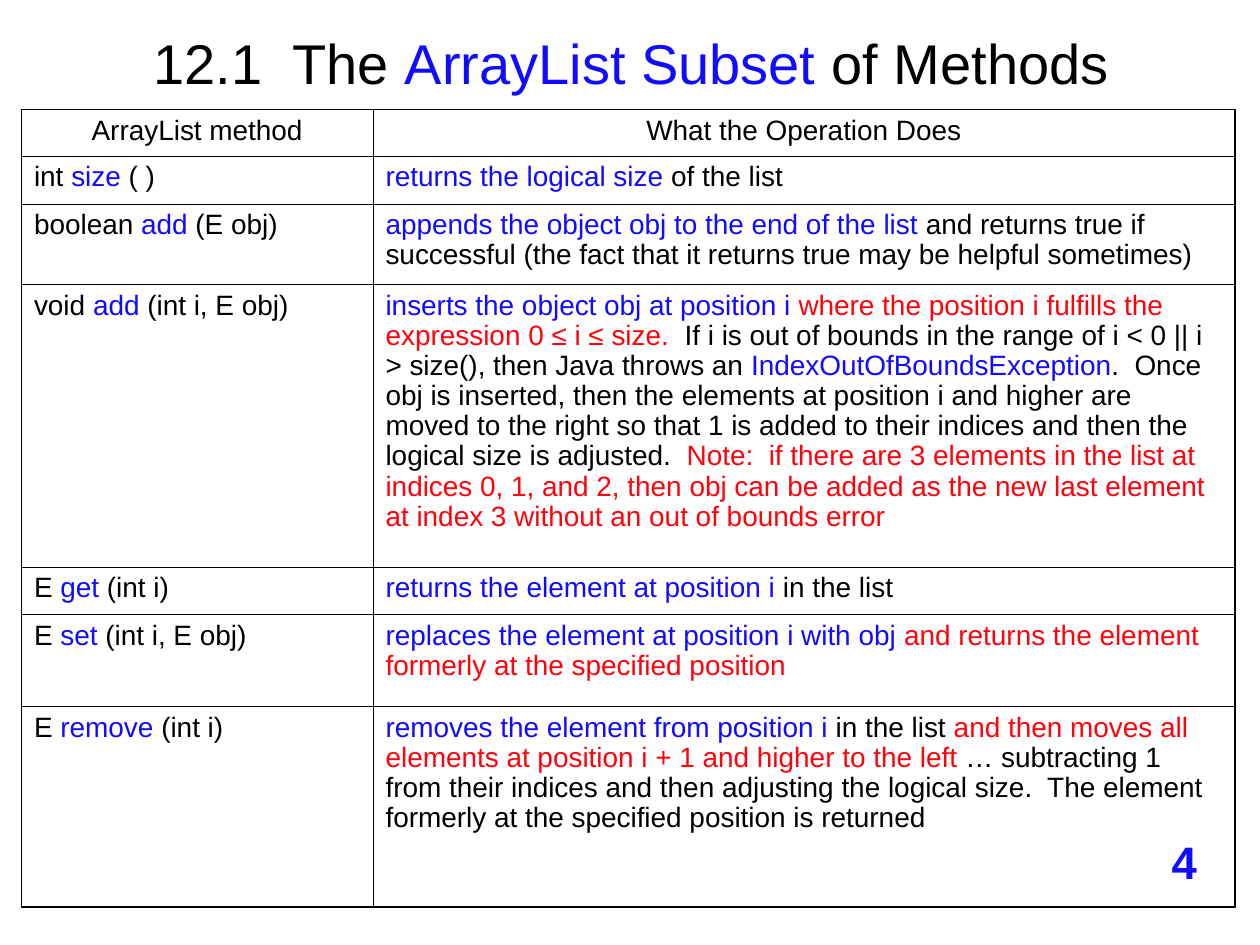
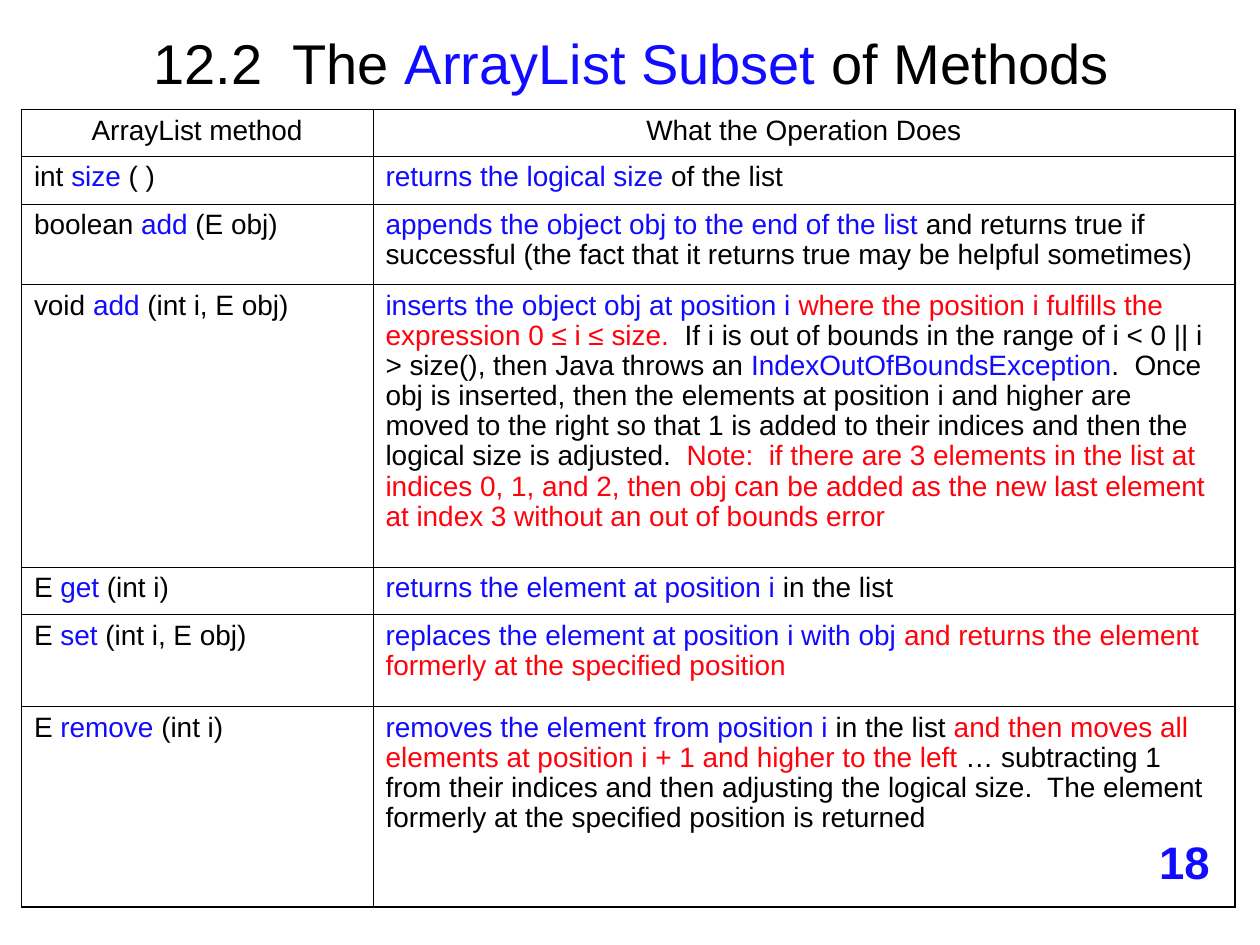
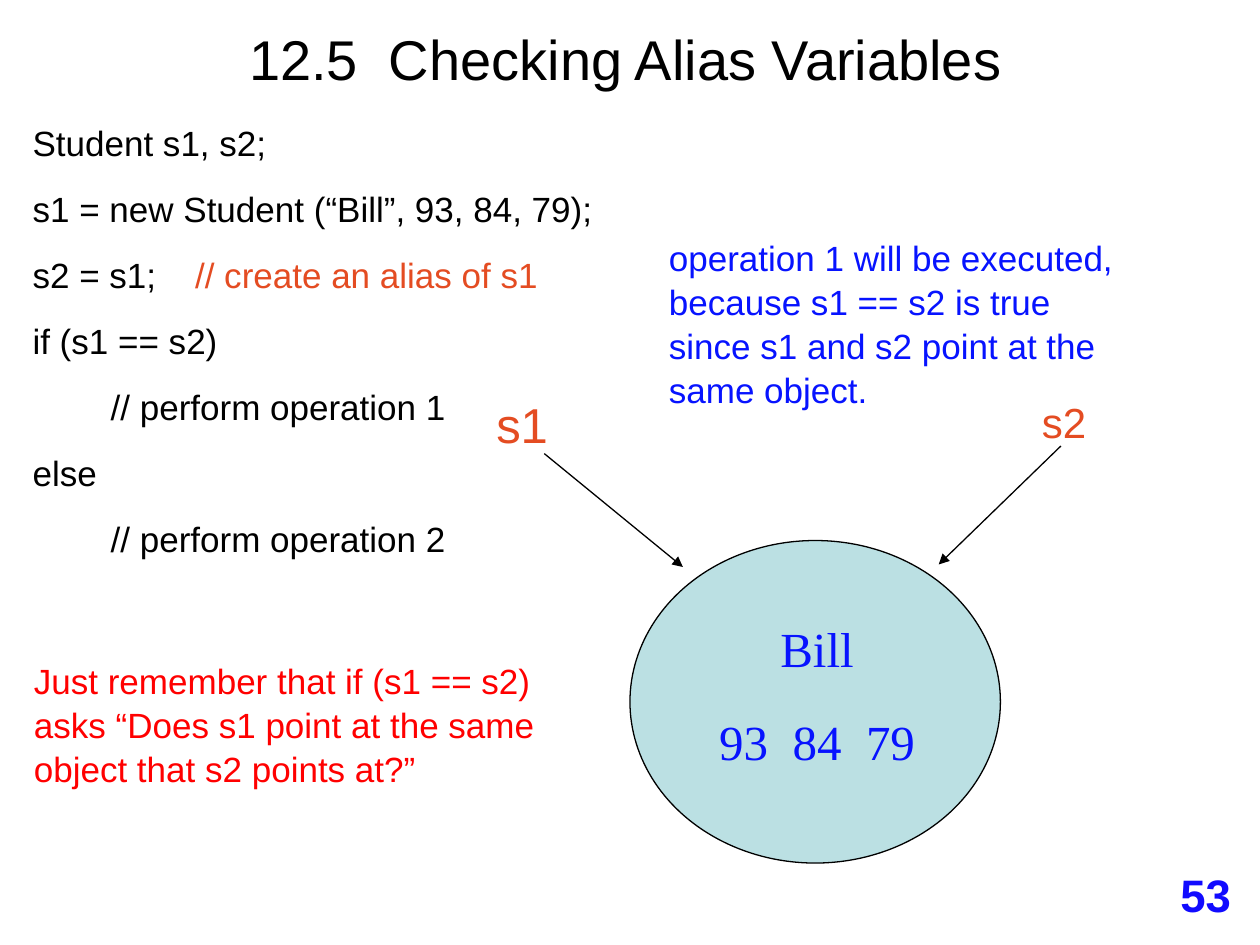
import lxml.etree
import pptx
import pptx.dml.color
import pptx.enum.shapes
import pptx.enum.text
import pptx.oxml.ns
import pptx.util

Inches = pptx.util.Inches
Pt = pptx.util.Pt
ALIGN = pptx.enum.text.PP_ALIGN
ANCHOR = pptx.enum.text.MSO_ANCHOR
AUTO_SIZE = pptx.enum.text.MSO_AUTO_SIZE

# Shared colours and text formats
BLACK, BLUE, RED = "000000", "110BFF", "FF020C"
NOTE_BLUE, NOTE_RED, ORANGE, PALE_TEAL = "0713FF", "FF0000", "E44C22", "BBE0E3"

TITLE_FONT = {"name": "Arial", "size": Pt(32)}
TABLE_FONT = {"name": "Arial", "size": Pt(16)}
BODY_FONT = {"name": "Arial", "size": Pt(20)}
S1_FONT = {"name": "Arial", "size": Pt(28)}
S2_FONT = {"name": "Arial", "size": Pt(24)}
OBJECT_FONT = {"name": "Times New Roman", "size": Pt(28)}
NUMBER_FONT = {"name": "Arial", "size": Pt(26), "bold": True}

CENTERED = {"alignment": ALIGN.CENTER}
CELL_SPACING = {"line_spacing": 0.97, "space_before": Pt(4)}
BODY_SPACING = {"line_spacing": 1.05, "space_before": Pt(12.5)}
OBJECT_SPACING = {"line_spacing": 1.05, "space_before": Pt(17.5), **CENTERED}

OUTER_RULE, INNER_RULE = 1.08, 0.45
COLUMN_WIDTHS = [2.79, 6.84]
CODE_INDENT, COMMENT_TAB = 0.62, 1.29

# Method table: row height, signature runs, description runs
METHODS = [
    (0.38, [("int ", BLACK), ("size", BLUE), (" ( )", BLACK)],
     [("returns the logical size", BLUE), (" of the list", BLACK)]),
    (0.64, [("boolean ", BLACK), ("add", BLUE), (" (E obj)", BLACK)],
     [("appends the object obj to the end of the list", BLUE),
      (" and returns true if successful (the fact that it returns true "
       "may be helpful sometimes)", BLACK)]),
    (2.24, [("void ", BLACK), ("add", BLUE), (" (int i, E obj)", BLACK)],
     [("inserts the object obj at position i ", BLUE),
      ("where the position i fulfills the expression 0 ≤ i ≤ size.", RED),
      ("  If i is out of bounds in the range of i < 0 || i > size(), "
       "then Java throws an ", BLACK),
      ("IndexOutOfBoundsException", BLUE),
      (".  Once obj is inserted, then the elements at position i and higher "
       "are moved to the right so that 1 is added to their indices and then "
       "the logical size is adjusted.  ", BLACK),
      ("Note:  if there are 3 elements in the list at indices 0, 1, and 2, "
       "then obj can be added as the new last element at index 3 without "
       "an out of bounds error", RED)]),
    (0.38, [("E ", BLACK), ("get", BLUE), (" (int i)", BLACK)],
     [("returns the element at position i", BLUE), (" in the list", BLACK)]),
    (0.73, [("E ", BLACK), ("set", BLUE), (" (int i, E obj)", BLACK)],
     [("replaces the element at position i with obj ", BLUE),
      ("and returns the element formerly at the specified position", RED)]),
    (1.59, [("E ", BLACK), ("remove", BLUE), (" (int i)", BLACK)],
     [("removes the element from position i", BLUE),
      (" in the list ", BLACK),
      ("and then moves all elements at position i + 1 and higher to the left",
       RED),
      (" … subtracting 1 from their indices and then adjusting the logical "
       "size.  The element formerly at the specified position is returned",
       BLACK)]),
]
HEADER = (0.37, [("ArrayList method", BLACK)],
          [("What the Operation Does", BLACK)])


def rgb(hex_colour):
    return pptx.dml.color.RGBColor.from_string(hex_colour)


def set_all(target, values):
    for key, value in values.items():
        setattr(target, key, value)


def sub(parent, tag, **attributes):
    return lxml.etree.SubElement(parent, pptx.oxml.ns.qn(tag), attributes)


# Text
def write(frame, paragraphs, font, layout):
    """Fill a frame; each paragraph is a list of (text, colour) runs."""
    for index, runs in enumerate(paragraphs):
        paragraph = frame.paragraphs[0] if index == 0 else frame.add_paragraph()
        set_all(paragraph, layout)
        for text, colour in runs:
            run = paragraph.add_run()
            run.text = text
            set_all(run.font, font)
            run.font.color.rgb = rgb(colour)


def add_text(slide, box, paragraphs, font, layout, **frame_values):
    frame = slide.shapes.add_textbox(*map(Inches, box)).text_frame
    set_all(frame, {"word_wrap": True, **frame_values})
    write(frame, paragraphs, font, layout)
    return frame


def add_title(slide, box, runs):
    add_text(slide, box, [runs], TITLE_FONT, CENTERED,
             vertical_anchor=ANCHOR.MIDDLE)


def add_slide_number(slide, left, top, number):
    add_text(slide, (left, top, 0.64, 0.53), [[(number, BLUE)]], NUMBER_FONT,
             CENTERED, vertical_anchor=ANCHOR.BOTTOM)


# Table
def set_borders(cell, widths):
    properties = cell._tc.get_or_add_tcPr()
    for position, (side, width) in enumerate(widths.items()):
        rule = lxml.etree.Element(pptx.oxml.ns.qn(f"a:ln{side}"),
                                  w=str(Pt(width)))
        sub(sub(rule, "a:solidFill"), "a:srgbClr", val=BLACK)
        properties.insert(position, rule)


def add_method_table(slide):
    rows = [HEADER] + METHODS
    heights = [row[0] for row in rows]
    table = slide.shapes.add_table(
        len(rows), len(COLUMN_WIDTHS), Inches(0.17), Inches(0.87),
        Inches(sum(COLUMN_WIDTHS)), Inches(sum(heights))).table
    set_all(table, {"first_row": False, "horz_banding": False})
    for column, width in zip(table.columns, COLUMN_WIDTHS):
        column.width = Inches(width)
    for r, (height, *contents) in enumerate(rows):
        table.rows[r].height = Inches(height)
        layout = {**CELL_SPACING, **(CENTERED if r == 0 else {})}
        for c, runs in enumerate(contents):
            cell = table.cell(r, c)
            cell.fill.background()
            write(cell.text_frame, [runs], TABLE_FONT, layout)
            on_edge = {"L": c == 0, "R": c == len(contents) - 1,
                       "T": r == 0, "B": r == len(rows) - 1}
            set_borders(cell, {side: OUTER_RULE if edge else INNER_RULE
                               for side, edge in on_edge.items()})


# Diagram
def add_object_ellipse(slide, box):
    ellipse = slide.shapes.add_shape(
        pptx.enum.shapes.MSO_SHAPE.OVAL, *map(Inches, box))
    ellipse.shadow.inherit = False
    ellipse.fill.solid()
    ellipse.fill.fore_color.rgb = rgb(PALE_TEAL)
    ellipse.line.color.rgb = rgb(BLACK)
    ellipse.line.width = Pt(0.75)


def add_arrow(slide, *ends):
    arrow = slide.shapes.add_connector(
        pptx.enum.shapes.MSO_CONNECTOR.STRAIGHT, *map(Inches, ends))
    arrow.line.color.rgb = rgb(BLACK)
    arrow.line.width = Pt(0.75)
    sub(arrow.line._get_or_add_ln(), "a:tailEnd", type="triangle")
    sub(arrow._element.spPr, "a:effectLst")


def add_code(slide):
    lines = [
        [("Student s1, s2;", BLACK)],
        [("s1 = new Student (“Bill”, 93, 84, 79);", BLACK)],
        [("s2 = s1;\t", BLACK), ("// create an alias of s1", ORANGE)],
        [("if (s1 == s2)", BLACK)],
        [("// perform operation 1", BLACK)],
        [("else", BLACK)],
        [("// perform operation 2", BLACK)],
    ]
    frame = add_text(slide, (0.16, 0.9, 9.72, 3.48), lines, BODY_FONT,
                     BODY_SPACING)
    for paragraph in frame.paragraphs:
        properties = paragraph._p.get_or_add_pPr()
        if paragraph.text.startswith("//"):
            properties.set("marL", str(Inches(CODE_INDENT)))
        elif "\t" in paragraph.text:
            sub(sub(properties, "a:tabLst"), "a:tab",
                pos=str(Inches(COMMENT_TAB)), algn="l")


def add_variable(slide, box, name, font):
    add_text(slide, box, [[(name, ORANGE)]], font, {"line_spacing": 1.05},
             word_wrap=False, auto_size=AUTO_SIZE.SHAPE_TO_FIT_TEXT)


# Slides
def build_methods_slide(slide, section, number):
    add_title(slide, (0.1, 0.05, 9.82, 0.88),
              [(f"{section}  The ", BLACK), ("ArrayList Subset", BLUE),
               (" of Methods", BLACK)])
    add_method_table(slide)
    add_slide_number(slide, 9.08, 6.57, number)


def build_alias_slide(slide):
    add_title(slide, (0.04, 0.04, 9.85, 0.84),
              [("12.5  Checking Alias Variables", BLACK)])
    add_code(slide)
    add_variable(slide, (3.84, 3.06, 0.61, 0.57), "s1", S1_FONT)
    add_object_ellipse(slide, (5, 4.29, 2.94, 2.56))
    add_arrow(slide, 4.32, 3.6, 5.42, 4.5)
    add_arrow(slide, 8.42, 3.54, 7.45, 4.48)
    add_text(slide, (5.57, 4.84, 1.83, 1.28),
             [[("Bill", NOTE_BLUE)], [("93  84  79", NOTE_BLUE)]],
             OBJECT_FONT, OBJECT_SPACING)
    add_text(slide, (5.21, 1.81, 3.95, 1.44),
             [[("operation 1 will be executed, because s1 == s2 is true "
                "since s1 and s2 point at the same object.", NOTE_BLUE)]],
             BODY_FONT, BODY_SPACING)
    add_slide_number(slide, 9.25, 6.83, "53")
    add_text(slide, (0.17, 5.17, 4.25, 1.1),
             [[("Just remember that if (s1 == s2) asks “Does s1 point at "
                "the same object that s2 points at?”", NOTE_RED)]],
             BODY_FONT, BODY_SPACING)
    add_variable(slide, (8.17, 3.08, 0.55, 0.5), "s2", S2_FONT)


def main():
    deck = pptx.Presentation()
    set_all(deck, {"slide_width": Inches(10), "slide_height": Inches(7.5)})
    blank = deck.slide_layouts[6]
    for section, number in [("12.1", "4"), ("12.2", "18")]:
        build_methods_slide(deck.slides.add_slide(blank), section, number)
    build_alias_slide(deck.slides.add_slide(blank))
    deck.save("out.pptx")


if __name__ == "__main__":
    main()
